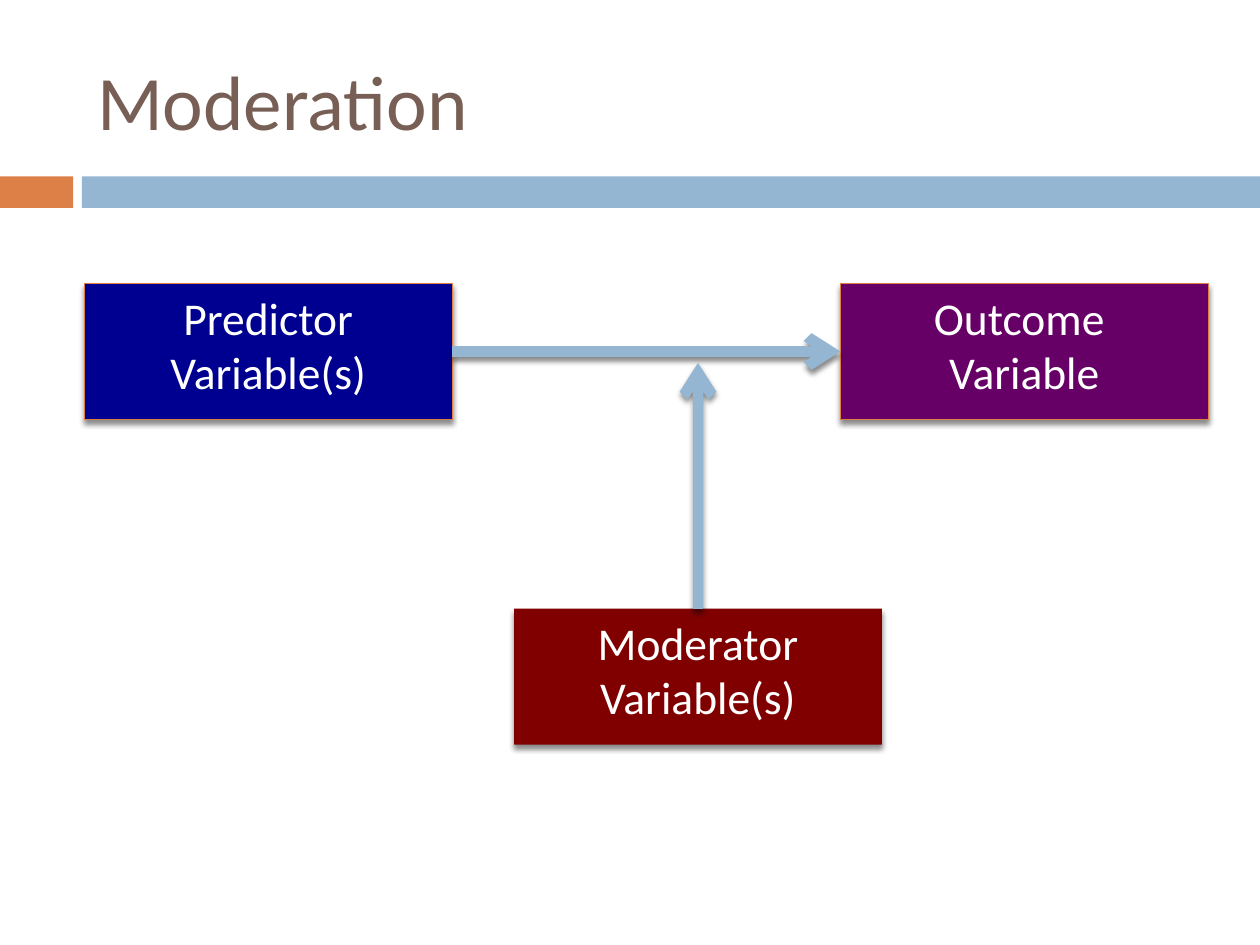
from lxml.etree import SubElement
from pptx import Presentation
from pptx.dml.color import RGBColor
from pptx.enum.shapes import MSO_CONNECTOR, MSO_SHAPE
from pptx.enum.text import MSO_ANCHOR, PP_ALIGN
from pptx.oxml.ns import qn
from pptx.util import Inches, Pt

ORANGE = RGBColor(0xDD, 0x80, 0x47)
BLUE = RGBColor(0x94, 0xB6, 0xD2)
BROWN = RGBColor(0x77, 0x5F, 0x55)
NAVY = RGBColor(0x00, 0x00, 0x90)
PURPLE = RGBColor(0x66, 0x00, 0x66)
MAROON = RGBColor(0x80, 0x00, 0x00)
WHITE = RGBColor(0xFF, 0xFF, 0xFF)
FONT = "Calibri"
WIDTH, HEIGHT = 2.92, 1.08


def add_shadow(shape):
    effects = SubElement(shape._element.spPr, qn("a:effectLst"))
    outer = SubElement(effects, qn("a:outerShdw"), blurRad=str(Pt(3)),
                       dist=str(Pt(2.4)), dir="5400000", rotWithShape="0")
    color = SubElement(outer, qn("a:srgbClr"), val="000000")
    SubElement(color, qn("a:alpha"), val="45000")


def add_rect(slide, left, top, width, height, fill):
    rect = slide.shapes.add_shape(MSO_SHAPE.RECTANGLE, Inches(left), Inches(top),
                                  Inches(width), Inches(height))
    rect.fill.solid()
    rect.fill.fore_color.rgb = fill
    rect.line.fill.background()
    return rect


def add_band(slide, top, height):
    for left, width, fill in ((0, 0.58, ORANGE), (0.65, 9.35, BLUE)):
        bar = add_rect(slide, left, top, width, height, fill)
        bar.shadow.inherit = False


def add_title(slide, left, top, width, height, text):
    title = slide.shapes.title
    title.left, title.top = Inches(left), Inches(top)
    title.width, title.height = Inches(width), Inches(height)
    frame = title.text_frame
    frame.text = text
    frame.vertical_anchor = MSO_ANCHOR.MIDDLE
    line = frame.paragraphs[0]
    line.alignment = PP_ALIGN.LEFT
    font = line.runs[0].font
    font.name, font.size = FONT, Pt(44)
    font.color.rgb = BROWN


def add_box(slide, left, top, text, fill, border=None):
    box = add_rect(slide, left, top, WIDTH, HEIGHT, fill)
    if border is not None:
        box.line.color.rgb = border
        box.line.width = Pt(0.79)
    add_shadow(box)
    frame = box.text_frame
    frame.text = text
    frame.vertical_anchor = MSO_ANCHOR.TOP
    for line in frame.paragraphs:
        line.alignment = PP_ALIGN.CENTER
        font = line.runs[0].font
        font.name, font.size = FONT, Pt(26)
        font.color.rgb = WHITE
    return box


def add_arrow(slide, start, end):
    arrow = slide.shapes.add_connector(
        MSO_CONNECTOR.STRAIGHT, *(Inches(n) for n in start + end))
    arrow.line.color.rgb = BLUE
    arrow.line.width = Pt(6)
    SubElement(arrow.line._get_or_add_ln(), qn("a:tailEnd"), type="arrow")
    add_shadow(arrow)
    return arrow


def add_model(slide, left, top):
    right, middle, low = left + 6, left + 3.41, top + 2.58
    level, center = top + HEIGHT / 2, middle + WIDTH / 2
    cause = add_box(slide, left, top, "Predictor\nVariable(s)", NAVY, ORANGE)
    result = add_box(slide, right, top, "Outcome \nVariable", PURPLE, ORANGE)
    factor = add_box(slide, middle, low, "Moderator\nVariable(s)", MAROON)

    effect = add_arrow(slide, (left + WIDTH, level), (right, level))
    effect.begin_connect(cause, 3)
    effect.end_connect(result, 1)
    change = add_arrow(slide, (center, low), (center, level + 0.09))
    change.begin_connect(factor, 0)


def main():
    deck = Presentation()
    deck.slide_width, deck.slide_height = Inches(10), Inches(7.5)
    slide = deck.slides.add_slide(deck.slide_layouts[5])
    add_band(slide, 1.4, 0.25)
    add_title(slide, 0.67, 0.25, 8.92, 1.08, "Moderation")
    add_model(slide, 0.67, 2.25)
    deck.save("out.pptx")


if __name__ == "__main__":
    main()
